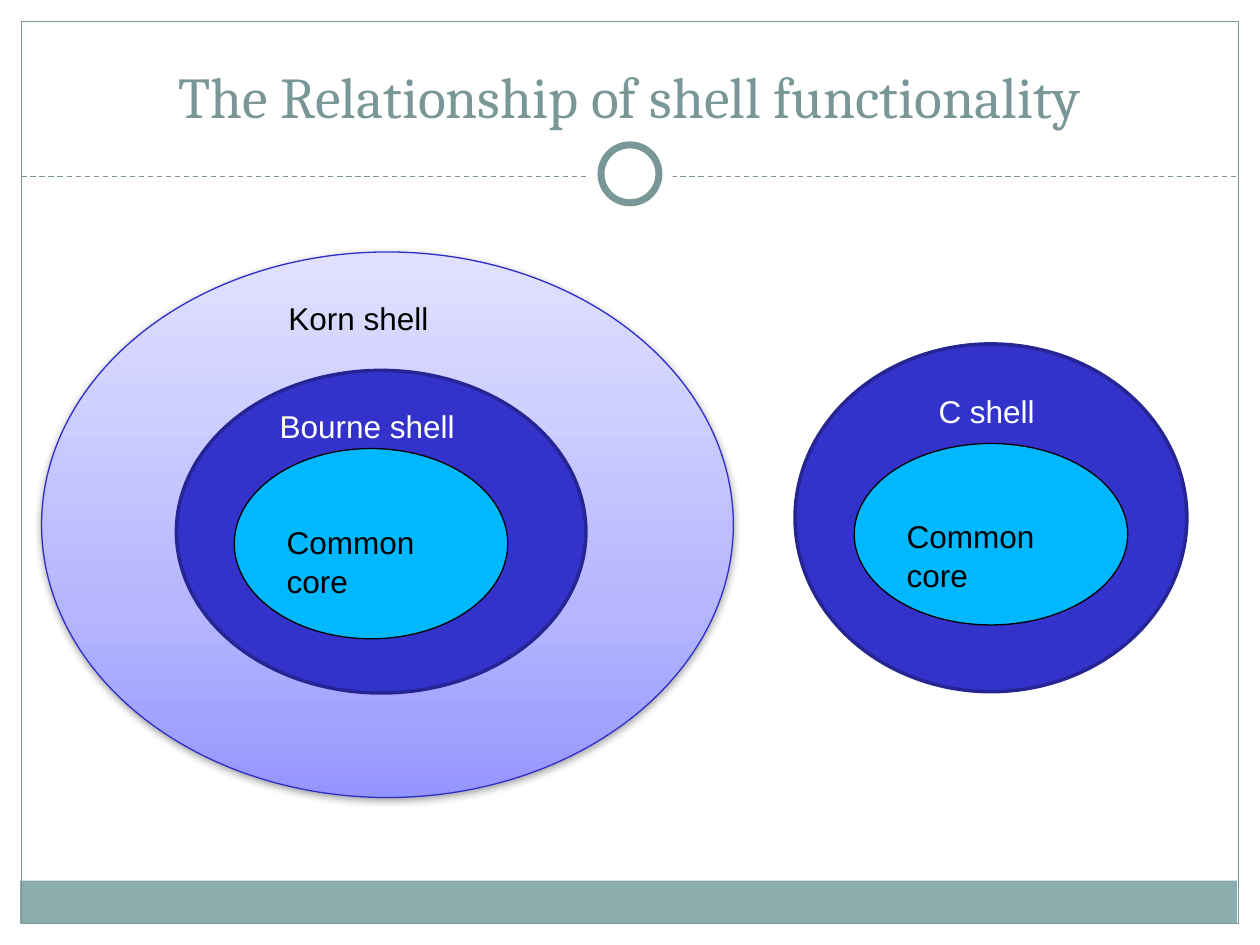
from lxml.etree import SubElement
from pptx import Presentation
from pptx.dml.color import RGBColor
from pptx.enum.dml import MSO_LINE
from pptx.enum.shapes import MSO_CONNECTOR, MSO_SHAPE
from pptx.enum.text import MSO_ANCHOR, MSO_AUTO_SIZE, PP_ALIGN
from pptx.oxml import parse_xml
from pptx.oxml.ns import nsdecls, qn
from pptx.util import Inches, Pt

WHITE = RGBColor(0xFF, 0xFF, 0xFF)
BLACK = RGBColor(0, 0, 0)
SAGE = RGBColor(0x7A, 0x97, 0x98)
MIST = RGBColor(0x8C, 0xAD, 0xAE)
BLUE = RGBColor(0x33, 0x33, 0xCC)
NAVY = RGBColor(0x25, 0x25, 0x94)
EDGE = RGBColor(0x2E, 0x2E, 0xCB)
CYAN = RGBColor(0x00, 0xB8, 0xFF)
LILAC = (
    (0, RGBColor(0x95, 0x95, 0xFF)),
    (35, RGBColor(0xB6, 0xB6, 0xFF)),
    (100, RGBColor(0xE1, 0xE1, 0xFF)),
)
COLS, ROWS = 100, 75
OVAL, RECT = MSO_SHAPE.OVAL, MSO_SHAPE.RECTANGLE


def apply(item, values):
    """Set every named value on the item."""
    for name, value in values.items():
        setattr(item, name, value)


class Board:
    """Holds the style and the current slide, placed on a 100 by 75 grid."""

    body = {"name": "Arial", "size": Pt(18)}
    head = {"name": "Cambria", "size": Pt(33)}
    pads = {
        "margin_left": Inches(0.1),
        "margin_right": Inches(0.1),
        "margin_top": Inches(0.05),
        "margin_bottom": Inches(0.05),
        "word_wrap": True,
    }

    def __init__(self, deck):
        """Add a title-only slide to the deck."""
        self.wide, self.high = deck.slide_width, deck.slide_height
        self.slide = deck.slides.add_slide(deck.slide_layouts[5])
        self.shapes = self.slide.shapes

    def box(self, left, top, width, height):
        """Turn grid columns and rows into lengths."""
        col, row = self.wide / COLS, self.high / ROWS
        return [round(n) for n in (left * col, top * row, width * col, height * row)]

    def letter(self, shape, text, ink, font, frame, para):
        """Put one formatted paragraph into a shape."""
        body = shape.text_frame
        body.text = text
        apply(body, {**self.pads, **frame})
        apply(body.paragraphs[0], para)
        face = body.paragraphs[0].runs[0].font
        apply(face, font)
        face.color.rgb = ink

    def title(self, text, *place):
        """Move and format the title placeholder."""
        shape = self.shapes.title
        spot = zip(("left", "top", "width", "height"), self.box(*place))
        apply(shape, dict(spot))
        frame = {"vertical_anchor": MSO_ANCHOR.BOTTOM, "auto_size": MSO_AUTO_SIZE.NONE}
        self.letter(shape, text, SAGE, self.head, frame, {"alignment": PP_ALIGN.CENTER})

    def shape(self, kind, place, fill=None, line=None, width=0.75):
        """Draw a preset shape with a plain fill and line."""
        shape = self.shapes.add_shape(kind, *self.box(*place))
        shape.shadow.inherit = False
        if fill is None:
            shape.fill.background()
        else:
            shape.fill.solid()
            shape.fill.fore_color.rgb = fill
        if line is None:
            shape.line.fill.background()
        else:
            shape.line.color.rgb = line
            shape.line.width = Pt(width)
        return shape

    def glow(self, place, stops, line):
        """Draw an oval with an upward gradient and a soft shadow."""
        shape = self.shape(OVAL, place, WHITE, line)
        props = shape._element.spPr
        marks = "".join(
            f'<a:gs pos="{pos * 1000}"><a:srgbClr val="{ink}"/></a:gs>'
            for pos, ink in stops
        )
        grad = parse_xml(
            f'<a:gradFill {nsdecls("a")}><a:gsLst>{marks}</a:gsLst>'
            '<a:lin ang="16200000" scaled="0"/></a:gradFill>'
        )
        props.replace(props.find(qn("a:solidFill")), grad)
        cast = parse_xml(
            f'<a:outerShdw {nsdecls("a")} blurRad="{Pt(5)}" dist="{Pt(1.6)}" '
            'dir="5400000" rotWithShape="0"><a:srgbClr val="000000">'
            '<a:alpha val="38000"/></a:srgbClr></a:outerShdw>'
        )
        props.find(qn("a:effectLst")).append(cast)

    def core(self, *place):
        """Draw the common core oval with its text set one line down."""
        shape = self.shape(OVAL, place, CYAN, BLACK)
        frame = {"vertical_anchor": MSO_ANCHOR.TOP, "margin_top": Inches(0.36)}
        para = {"alignment": PP_ALIGN.LEFT, "line_spacing": 1.04}
        self.letter(shape, "Common core", BLACK, self.body, frame, para)

    def label(self, text, ink, left, top, width):
        """Place a one-line label."""
        shape = self.shapes.add_textbox(*self.box(left, top, width, 4.2))
        frame = {"auto_size": MSO_AUTO_SIZE.SHAPE_TO_FIT_TEXT}
        self.letter(shape, text, ink, self.body, frame, {"line_spacing": 1.04})

    def rule(self, left, top, width):
        """Draw a dashed level line."""
        x, y, run, _ = self.box(left, top, width, 0)
        line = self.shapes.add_connector(MSO_CONNECTOR.STRAIGHT, x, y, x + run, y)
        line.line.color.rgb = SAGE
        apply(line.line, {"width": Pt(0.75), "dash_style": MSO_LINE.DASH})
        SubElement(line._element.spPr, qn("a:effectLst"))


def main():
    """Build and save the slide."""
    deck = Presentation()
    apply(deck, {"slide_width": Inches(10), "slide_height": Inches(7.5)})
    board = Board(deck)
    board.shape(RECT, (1.6, 69.9, 96.6, 3.4), MIST)
    board.shape(RECT, (1.7, 1.7, 96.6, 71.6), None, SAGE)
    board.rule(1.7, 14, 96.6)
    board.shape(OVAL, (46.7, 10.5, 6.7, 6.7), WHITE)
    board.shape(OVAL, (47.7, 11.5, 4.6, 4.6), WHITE, SAGE, 4)
    board.title("The Relationship of shell functionality", 3.3, 2.5, 93.3, 8.3)

    board.glow((3.3, 20, 54.9, 43.3), LILAC, EDGE)
    board.shape(OVAL, (14, 29.4, 32.5, 25.6), BLUE, NAVY, 2)
    board.core(18.6, 35.6, 21.7, 15.1)
    board.label("Bourne shell", WHITE, 21.2, 31.7, 19.1)
    board.label("Korn shell", BLACK, 21.9, 23.1, 15.2)

    board.shape(OVAL, (63.1, 27.3, 31.1, 27.6), BLUE, NAVY, 2)
    board.core(67.8, 35.2, 21.7, 14.4)
    board.label("C shell", WHITE, 73.5, 30.5, 15.2)
    deck.save("out.pptx")


if __name__ == "__main__":
    main()
